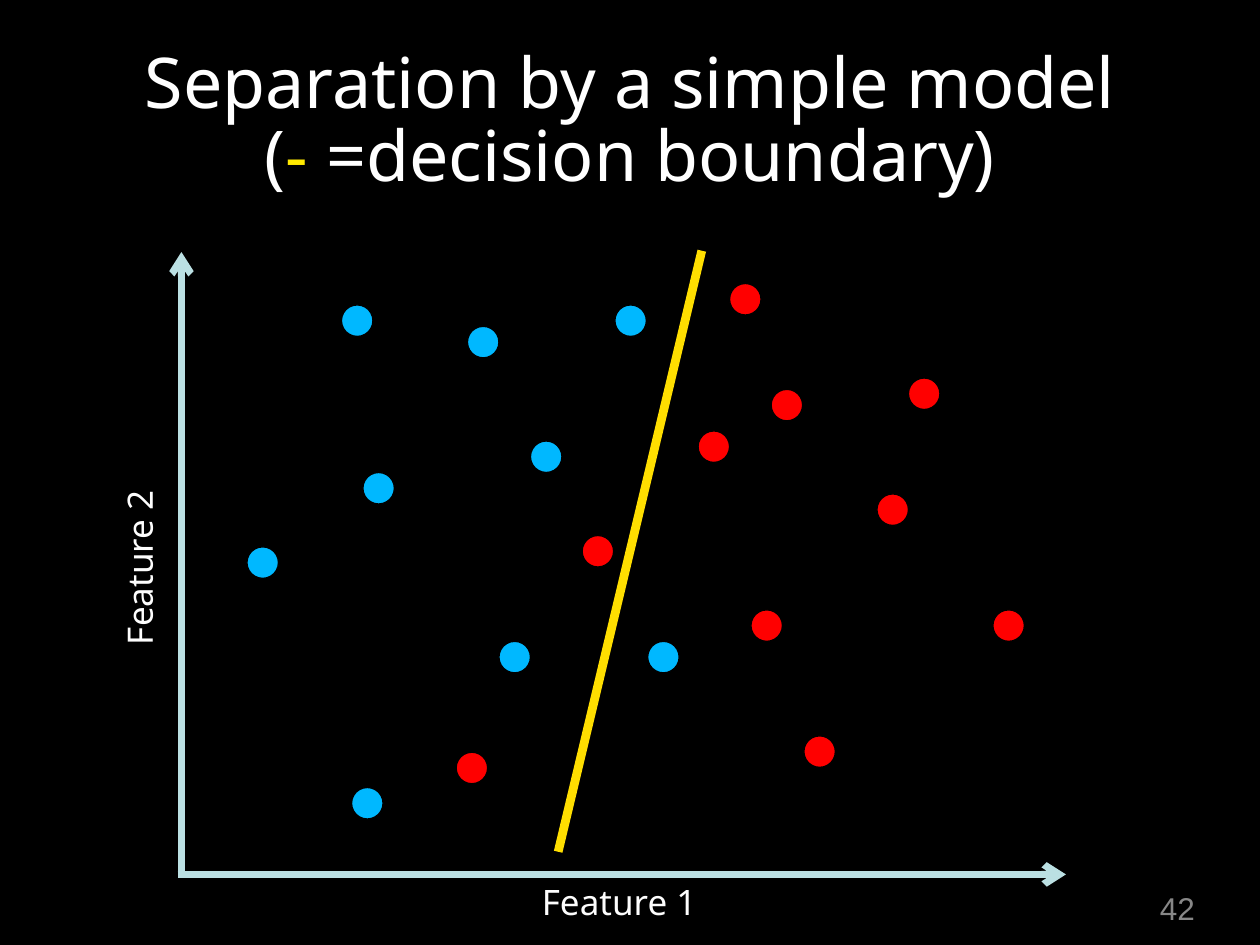
from pptx import Presentation
from pptx.dml.color import RGBColor
from pptx.enum.shapes import MSO_CONNECTOR, MSO_SHAPE
from pptx.enum.text import MSO_ANCHOR, MSO_AUTO_SIZE, PP_ALIGN
from pptx.oxml.ns import qn
from pptx.util import Emu, Pt
from lxml.etree import SubElement

PX = 9144  # 100 px to the inch

BLACK = RGBColor(0x00, 0x00, 0x00)
WHITE = RGBColor(0xFF, 0xFF, 0xFF)
LABEL_WHITE = RGBColor(0xFD, 0xFD, 0xFD)
GRAY = RGBColor(0x87, 0x87, 0x87)
DASH_YELLOW = RGBColor(0xFF, 0xE9, 0x00)
BOUNDARY_YELLOW = RGBColor(0xFF, 0xDE, 0x00)
AXIS_BLUE = RGBColor(0xBB, 0xE0, 0xE3)
BLUE = RGBColor(0x00, 0xB8, 0xFF)
RED = RGBColor(0xFF, 0x00, 0x00)

FONT = "Noto Sans"
LINE_SPACING = 0.88
DOT_SIZE = 25

# Top left corners of the dots, relative to the plot
BLUE_DOTS = [(144, 175), (127, 42), (227, 59), (344, 42), (52, 234),
             (252, 309), (135, 425), (277, 150), (370, 309)]
RED_DOTS = [(468, 109), (410, 142), (452, 284), (494, 384), (435, 25),
            (552, 192), (318, 225), (644, 284), (577, 100), (218, 397)]


def px(*lengths):
    return [Emu(length * PX) for length in lengths]


def style_font(font, name, size, color):
    font.name = name
    font.size = Pt(size)
    font.color.rgb = color


def set_margins(frame, margin):
    frame.margin_left = frame.margin_right = Emu(margin * PX)
    frame.margin_top = frame.margin_bottom = Emu(margin * PX)


def add_title(slide, left, top, width, height):
    title = slide.shapes.title
    title.left, title.top, title.width, title.height = px(left, top, width, height)
    frame = title.text_frame
    frame.auto_size = MSO_AUTO_SIZE.NONE
    frame.word_wrap = True
    frame.vertical_anchor = MSO_ANCHOR.MIDDLE
    set_margins(frame, 4)
    frame.margin_top = Emu(14 * PX)
    frame.text = "Separation by a simple model\n("
    legend = frame.paragraphs[1]
    for words in ("-", " =decision boundary)"):
        legend.add_run().text = words
    for paragraph in frame.paragraphs:
        paragraph.alignment = PP_ALIGN.CENTER
        paragraph.line_spacing = LINE_SPACING
        for run in paragraph.runs:
            style_font(run.font, FONT, 40, WHITE)
    legend.runs[1].font.color.rgb = DASH_YELLOW


def add_label(slide, words, left, top, width, height, name, size, color):
    label = slide.shapes.add_textbox(*px(left, top, width, height))
    frame = label.text_frame
    frame.word_wrap = False
    frame.auto_size = MSO_AUTO_SIZE.SHAPE_TO_FIT_TEXT
    set_margins(frame, 5)
    frame.text = words
    style_font(frame.paragraphs[0].runs[0].font, name, size, color)
    return label


def add_line(slide, start, end, color, weight, arrow=False):
    line = slide.shapes.add_connector(MSO_CONNECTOR.STRAIGHT, *px(*start, *end))
    line.line.color.rgb = color
    line.line.width = Pt(weight)
    if arrow:
        SubElement(line.line._get_or_add_ln(), qn("a:tailEnd"), type="arrow")
    SubElement(line._element.spPr, qn("a:effectLst"))


def add_dots(slide, left, top, corners, color):
    for x, y in corners:
        dot = slide.shapes.add_shape(
            MSO_SHAPE.OVAL, *px(left + x, top + y, DOT_SIZE, DOT_SIZE))
        dot.shadow.inherit = False
        dot.fill.solid()
        dot.fill.fore_color.rgb = color
        dot.line.color.rgb = BLACK
        dot.line.width = Pt(0.75)


def add_plot(slide, left, top, width, height):
    right, bottom = left + width, top + height
    # Samples of the two classes
    add_dots(slide, left, top, BLUE_DOTS, BLUE)
    add_dots(slide, left, top, RED_DOTS, RED)
    # Axes
    add_line(slide, (left - 3, bottom - 1), (right, bottom - 1), AXIS_BLUE, 4, arrow=True)
    add_line(slide, (left, bottom), (left, top), AXIS_BLUE, 4, arrow=True)
    # Axis labels
    for words, x, y, rotation in (("Feature 1", 281, 498, 0), ("Feature 2", -99, 227, 270)):
        label = add_label(slide, words, left + x, top + y, 138, 42, FONT, 20, LABEL_WHITE)
        label.rotation = rotation
        label.text_frame.paragraphs[0].line_spacing = LINE_SPACING
    # Decision boundary
    add_line(slide, (left + 299, top + 476), (left + 413, top - 1), BOUNDARY_YELLOW, 5)


def add_page_number(slide, left, top, width, height):
    number = add_label(slide, "42", left, top, width, height, "Arial", 18, GRAY)
    number.text_frame.vertical_anchor = MSO_ANCHOR.MIDDLE
    number.text_frame.paragraphs[0].alignment = PP_ALIGN.CENTER


def main():
    deck = Presentation()
    deck.slide_width, deck.slide_height = px(1000, 750)
    slide = deck.slides.add_slide(deck.slide_layouts[5])
    slide.background.fill.solid()
    slide.background.fill.fore_color.rgb = BLACK
    add_title(slide, 50, 10, 900, 165)
    add_plot(slide, 144, 200, 702, 495)
    add_page_number(slide, 913, 701, 43, 39)
    deck.save("out.pptx")


if __name__ == "__main__":
    main()
